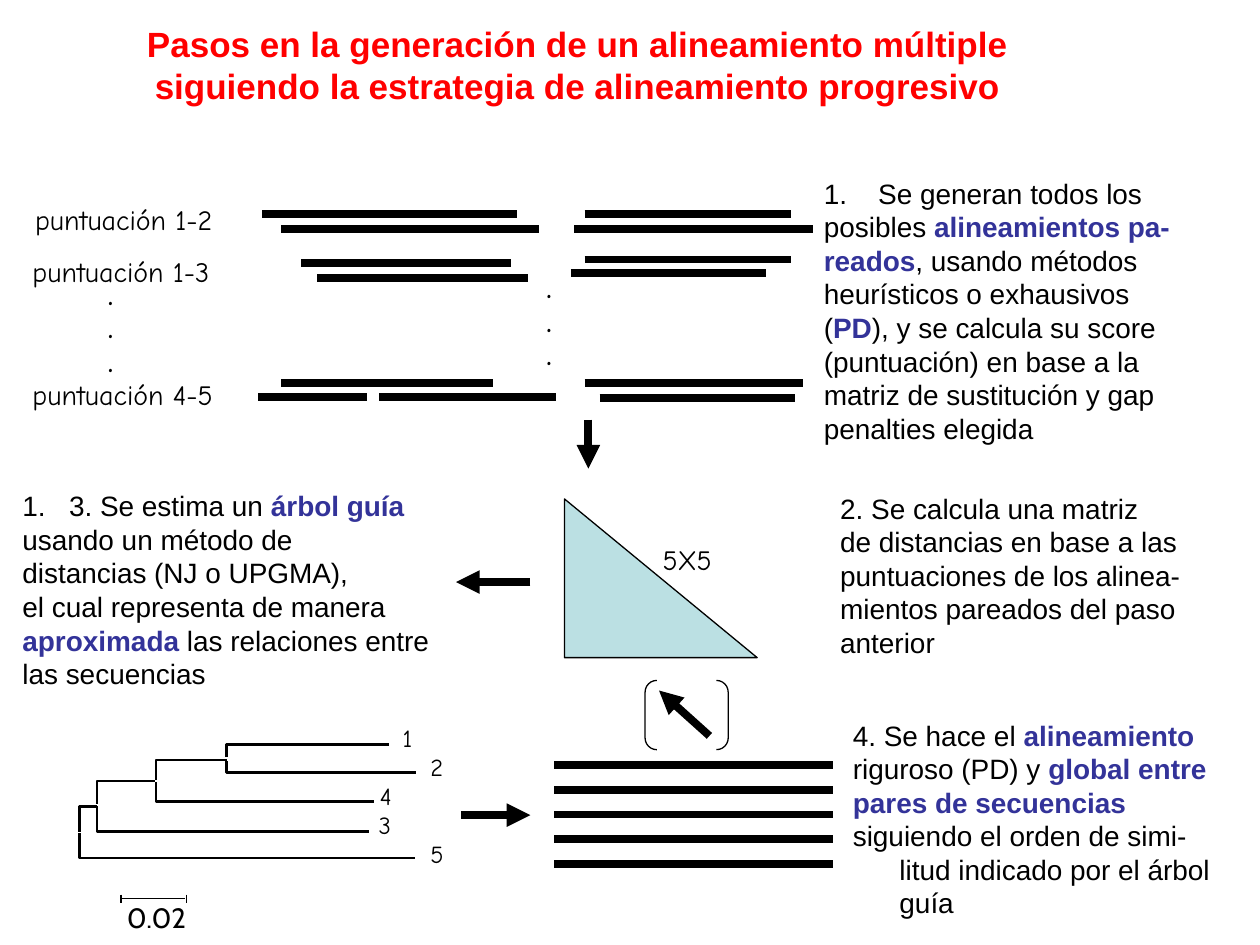
"""Build a slide on the steps of a progressive multiple alignment."""
from dataclasses import dataclass
from typing import NamedTuple

from lxml import etree
from pptx import Presentation
from pptx.dml.color import RGBColor
from pptx.enum.shapes import MSO_CONNECTOR, MSO_SHAPE
from pptx.enum.text import MSO_ANCHOR, MSO_AUTO_SIZE, PP_ALIGN
from pptx.oxml.ns import qn
from pptx.util import Pt

STRAIGHT = MSO_CONNECTOR.STRAIGHT
WEDGE = MSO_SHAPE.RIGHT_TRIANGLE
BRACKET = MSO_SHAPE.DOUBLE_BRACKET
TOP = MSO_ANCHOR.TOP
GROW = MSO_AUTO_SIZE.SHAPE_TO_FIT_TEXT
CENTER = PP_ALIGN.CENTER
LEFT = PP_ALIGN.LEFT


@dataclass(frozen=True)
class Theme:
    ink: RGBColor = RGBColor(0, 0, 0)
    title: RGBColor = RGBColor(0xFF, 0, 0)
    accent: RGBColor = RGBColor(0x33, 0x33, 0x99)
    fill: RGBColor = RGBColor(0xBB, 0xE0, 0xE3)
    sans: str = "Arial"
    hand: str = "Comic Neue"
    scale: str = "Cabin"
    head: float = 20
    body: float = 16
    leaf: float = 14
    bar: float = 4.5
    branch: float = 1.39
    twig: float = 1.5
    thin: float = 0.75


THEME = Theme()
HANG = 26.64


class Box(NamedTuple):
    x: float
    y: float
    w: float
    h: float


class Stroke(NamedTuple):
    x1: float
    y1: float
    x2: float
    y2: float
    width: float = THEME.bar
    arrow: bool = False


class Branch(NamedTuple):
    x: float
    y: float
    turn: float
    end: float
    width: float = THEME.branch


class Para(NamedTuple):
    text: str
    left: float = 0
    first: float = 0
    number: bool = False


class Note(NamedTuple):
    box: Box
    paras: list[Para]
    font: str = THEME.hand
    size: float = THEME.body
    bold: bool = False
    inset: bool = True
    wrap: bool = False


def plain(*lines: str) -> list[Para]:
    return [Para(line) for line in lines]


def hung(*lines: str, number: bool = False) -> list[Para]:
    return [Para(line, HANG, -HANG, number and i == 0) for i, line in enumerate(lines)]


TITLE = Note(Box(74.16, 9.36, 511.92, 55.44), plain(
    "Pasos en la generación de un alineamiento múltiple ",
    "siguiendo la estrategia de alineamiento progresivo"), THEME.sans, THEME.head, True)
DOTS = plain(".", ".", ".")
NOTES = [
    Note(Box(12.96, 112.32, 124, 26.64), plain("puntuación 1-2")),
    Note(Box(11.52, 141.84, 124, 26.64), plain("puntuación 1-3")),
    Note(Box(11.52, 212.4, 124, 26.64), plain("puntuación 4-5")),
    Note(Box(54.72, 154.8, 17.28, 64.8), DOTS, bold=True),
    Note(Box(305.28, 151.2, 17.28, 64.8), DOTS, bold=True),
    Note(Box(371.52, 306.72, 46, 26.64), plain("5X5")),
    Note(Box(72.5, 514.5, 40, 19.44), plain("0.02"), THEME.scale, inset=False),
    Note(Box(463.68, 97.2, 265.68, 161.28), hung(
        " Se generan todos los", "posibles *alineamientos pa-*",
        "*reados*, usando métodos", "heurísticos o exhausivos",
        "(*PD*), y se calcula su score", "(puntuación) en base a la",
        "matriz de sustitución y gap", "penalties elegida", number=True), THEME.sans),
    Note(Box(473.04, 277.2, 208.8, 102.96), plain(
        "2. Se calcula una matriz", "de distancias en base a las",
        "puntuaciones de los alinea-", "mientos pareados del paso", "anterior"), THEME.sans),
    Note(Box(5.76, 275.76, 300.24, 122.4), hung(
        "3. Se estima un *árbol guía*", "usando un método de",
        "distancias (NJ o UPGMA),", "el cual representa de manera",
        "*aproximada *las relaciones entre", "las secuencias", number=True), THEME.sans),
    Note(Box(480.24, 406.8, 229.68, 102.96), hung(
        "4. Se hace el *alineamiento*", "riguroso (PD) y *global entre*",
        "*pares de secuencias*", "siguiendo el orden de simi-")
        + [Para("litud indicado por el árbol guía", HANG)], THEME.sans, wrap=True),
]
LEAVES = [("1", 225.36), ("2", 241.2), ("4", 212.4), ("3", 211.68), ("5", 241.2)]
PAIRS = [
    (149.8, 295.2, 122.4), (160.6, 308.2, 131), (172.1, 292.3, 150.5),
    (181.4, 301.7, 159.1), (160.6, 281.5, 218.9), (216.7, 317.5, 226.8),
    (147.6, 209.5, 226.8), (334.1, 452.2, 122.4), (328.3, 464.4, 131),
    (334.1, 452.2, 148.3), (326.2, 437.8, 156.2), (334.1, 458.6, 218.9),
    (342.7, 454.3, 227.5),
]
ARROWS = [(303.1, 332.6, 260.6, 332.6), (336.2, 239.8, 336.2, 267.8),
          (263.5, 465.8, 303.1, 465.8), (405.4, 420.5, 376.6, 394.6)]
RULER = [(69.1, 513.4, 105.8, 513.4), (69.1, 511.2, 69.1, 516.2),
         (106.6, 511.2, 106.6, 516.2)]
TREE = [
    Branch(129.6, 432.7, 425.5, 222.5, THEME.twig),
    Branch(129.6, 434.9, 441.4, 237.6, THEME.twig),
    Branch(89.3, 445.7, 434.2, 129.6), Branch(89.3, 447.1, 457.9, 213.8),
    Branch(55.4, 459.4, 446.4, 88.6), Branch(55.4, 460.8, 475.2, 211),
    Branch(45.4, 475.2, 460.8, 55.4), Branch(45.4, 475.9, 490.3, 236.9),
]


def fill_text(shape, note: Note, color: RGBColor, align=LEFT) -> None:
    frame = shape.text_frame
    frame.word_wrap = note.wrap
    frame.auto_size = GROW
    frame.vertical_anchor = TOP
    side, edge = (7.2, 3.6) if note.inset else (0, 0)
    frame.margin_left = frame.margin_right = Pt(side)
    frame.margin_top = frame.margin_bottom = Pt(edge)
    for i, para in enumerate(note.paras):
        line = frame.add_paragraph() if i else frame.paragraphs[0]
        line.alignment = align
        props = line._p.get_or_add_pPr()
        if para.left:
            props.set("marL", str(Pt(para.left)))
            props.set("indent", str(Pt(para.first)))
        if para.number:
            etree.SubElement(props, qn("a:buAutoNum"), type="arabicPeriod")
        for j, part in enumerate(para.text.split("*")):
            if part:
                run = line.add_run()
                run.text = part
                font = run.font
                font.name, font.size = note.font, Pt(note.size)
                font.bold = note.bold or j % 2 == 1
                font.color.rgb = THEME.accent if j % 2 else color


def add_note(slide, note: Note) -> None:
    fill_text(slide.shapes.add_textbox(*map(Pt, note.box)), note, THEME.ink)


def set_line(shape, width: float) -> None:
    shape.line.color.rgb = THEME.ink
    shape.line.width = Pt(width)


def add_stroke(slide, stroke: Stroke) -> None:
    link = slide.shapes.add_connector(STRAIGHT, *map(Pt, stroke[:4]))
    set_line(link, stroke.width)
    props = link._element.spPr
    if stroke.arrow:
        etree.SubElement(props.find(qn("a:ln")), qn("a:tailEnd"), type="triangle")
    etree.SubElement(props, qn("a:effectLst"))


def add_branch(slide, branch: Branch) -> None:
    pen = slide.shapes.build_freeform(Pt(branch.x), Pt(branch.y))
    pen.add_line_segments([(Pt(branch.x), Pt(branch.turn)),
                           (Pt(branch.end), Pt(branch.turn))], close=False)
    shape = pen.convert_to_shape()
    shape.shadow.inherit = False
    shape.fill.background()
    set_line(shape, branch.width)


def add_form(slide, kind, box: Box):
    shape = slide.shapes.add_shape(kind, *map(Pt, box))
    shape.shadow.inherit = False
    shape.fill.background()
    set_line(shape, THEME.thin)
    return shape


def main() -> None:
    deck = Presentation()
    deck.slide_width, deck.slide_height = Pt(720), Pt(540)
    slide = deck.slides.add_slide(deck.slide_layouts[5])
    title = slide.shapes.title
    title.left, title.top, title.width, title.height = map(Pt, TITLE.box)
    fill_text(title, TITLE, THEME.title, CENTER)
    for start, end, y in PAIRS:
        add_stroke(slide, Stroke(start, y, end, y))
    for row in range(5):
        y = 437 + 14.22 * row
        add_stroke(slide, Stroke(316.8, y, 475.9, y))
    for ends in RULER:
        add_stroke(slide, Stroke(*ends, THEME.thin))
    for branch in TREE:
        add_branch(slide, branch)
    wedge = add_form(slide, WEDGE, Box(322.56, 285.12, 110.16, 90.72))
    wedge.fill.solid()
    wedge.fill.fore_color.rgb = THEME.fill
    add_form(slide, BRACKET, Box(368.64, 388.8, 47.52, 39.6)).adjustments[0] = 0.17
    for ends in ARROWS:
        add_stroke(slide, Stroke(*ends, arrow=True))
    for row, (name, x) in enumerate(LEAVES):
        box = Box(x, 413.28 + 16.56 * row, 18, 16.56)
        add_note(slide, Note(box, plain(f" {name}"), size=THEME.leaf, inset=False))
    for note in NOTES:
        add_note(slide, note)
    deck.save("out.pptx")


if __name__ == "__main__":
    main()
